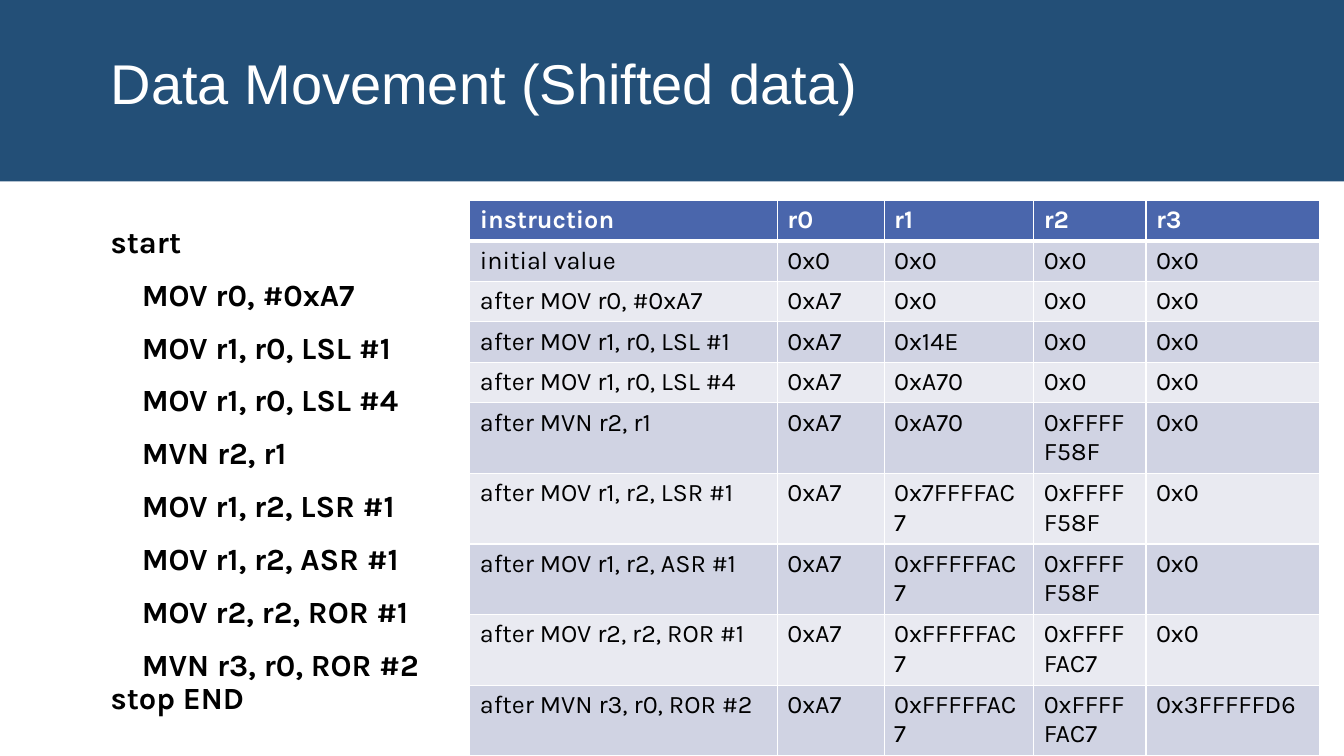
"""Build the slide on data movement with shifted operands."""
import pptx
import pptx.dml.color
import pptx.enum.shapes
import pptx.enum.text
import pptx.oxml
import pptx.oxml.ns
import pptx.util
from pptx.util import Cm

COLORS = {"band": "234F77", "header": "4A66AC", "odd": "D0D3E3",
          "even": "E9EAF1", "white": "FFFFFF", "black": "000000"}


def style_text(paragraph, font_name, size, color, bold=False):
    """Set the font of a paragraph."""
    paragraph.font.name = font_name
    paragraph.font.size = pptx.util.Pt(size)
    paragraph.font.bold = bold
    paragraph.font.color.rgb = pptx.dml.color.RGBColor.from_string(COLORS[color])


def add_border(cell, side, points):
    """Draw a white line on one side of a table cell."""
    cell._tc.get_or_add_tcPr().append(pptx.oxml.parse_xml(
        f'<a:{side} {pptx.oxml.ns.nsdecls("a")} w="{points * 12700}"><a:solidFill>'
        f'<a:srgbClr val="{COLORS["white"]}"/></a:solidFill></a:{side}>'))


presentation = pptx.Presentation()
presentation.slide_width = Cm(33.87)
presentation.slide_height = Cm(19.05)
slide = presentation.slides.add_slide(presentation.slide_layouts[5])

band = slide.shapes.add_shape(
    pptx.enum.shapes.MSO_SHAPE.RECTANGLE, 0, 0, presentation.slide_width, Cm(4.57))
band.shadow.inherit = False
band.fill.solid()
band.fill.fore_color.rgb = pptx.dml.color.RGBColor.from_string(COLORS["band"])
band.line.fill.background()
slide.shapes._spTree.insert(2, band._element)

title = slide.shapes.title
title.left, title.top, title.width, title.height = Cm(2.54), Cm(0.79), Cm(28.78), Cm(2.82)
title.text_frame.text = "Data Movement (Shifted data)"
title.text_frame.auto_size = pptx.enum.text.MSO_AUTO_SIZE.NONE
title.text_frame.vertical_anchor = pptx.enum.text.MSO_ANCHOR.MIDDLE
heading = title.text_frame.paragraphs[0]
heading.alignment = pptx.enum.text.PP_ALIGN.LEFT
heading.line_spacing = 0.85
style_text(heading, "Arial", 40, "white")

code_lines = [
    "start",
    "    MOV r0, #0xA7",
    "    MOV r1, r0, LSL #1",
    "    MOV r1, r0, LSL #4",
    "    MVN r2, r1",
    "    MOV r1, r2, LSR #1",
    "    MOV r1, r2, ASR #1",
    "    MOV r2, r2, ROR #1",
    "    MVN r3, r0, ROR #2\vstop END",
]
code = slide.shapes.add_textbox(Cm(2.54), Cm(5.59), Cm(9.07), Cm(11.68)).text_frame
code.word_wrap = True
code.text = "\n".join(code_lines)
for index, code_line in enumerate(code.paragraphs):
    code_line.line_spacing = 0.9
    code_line.space_before = pptx.util.Pt(12 if index else 0)
    code_line.space_after = pptx.util.Pt(2)
    style_text(code_line, "Karla", 22, "black", bold=True)

register_rows = [
    ("instruction", "r0", "r1", "r2", "r3"),
    ("initial value", "0x0", "0x0", "0x0", "0x0"),
    ("after MOV r0, #0xA7", "0xA7", "0x0", "0x0", "0x0"),
    ("after MOV r1, r0, LSL #1", "0xA7", "0x14E", "0x0", "0x0"),
    ("after MOV r1, r0, LSL #4", "0xA7", "0xA70", "0x0", "0x0"),
    ("after MVN r2, r1", "0xA7", "0xA70", "0xFFFFF58F", "0x0"),
    ("after MOV r1, r2, LSR #1", "0xA7", "0x7FFFFAC7", "0xFFFFF58F", "0x0"),
    ("after MOV r1, r2, ASR #1", "0xA7", "0xFFFFFAC7", "0xFFFFF58F", "0x0"),
    ("after MOV r2, r2, ROR #1", "0xA7", "0xFFFFFAC7", "0xFFFFFAC7", "0x0"),
    ("after MVN r3, r0, ROR #2", "0xA7", "0xFFFFFAC7", "0xFFFFFAC7", "0x3FFFFFD6"),
]
column_widths = [7.75, 2.69, 3.77, 2.83, 4.37]
registers = slide.shapes.add_table(
    len(register_rows), len(column_widths), Cm(11.84), Cm(5.05),
    Cm(sum(column_widths)), Cm(13.8)).table
for column, width in zip(registers.columns, column_widths):
    column.width = Cm(width)

for row_index, values in enumerate(register_rows):
    is_header = row_index == 0
    registers.rows[row_index].height = Cm(1.02 if row_index < 5 else 1.74)
    fill = "header" if is_header else "odd" if row_index % 2 else "even"
    for column_index, value in enumerate(values):
        cell = registers.cell(row_index, column_index)
        cell.text = value
        style_text(cell.text_frame.paragraphs[0], "Karla", 18,
                   "white" if is_header else "black", bold=is_header)
        for side in ("lnL", "lnR", "lnT", "lnB"):
            thick = (side == "lnB" and is_header) or (side == "lnT" and row_index == 1)
            add_border(cell, side, 3 if thick else 1)
        cell.fill.solid()
        cell.fill.fore_color.rgb = pptx.dml.color.RGBColor.from_string(COLORS[fill])

presentation.save("out.pptx")
